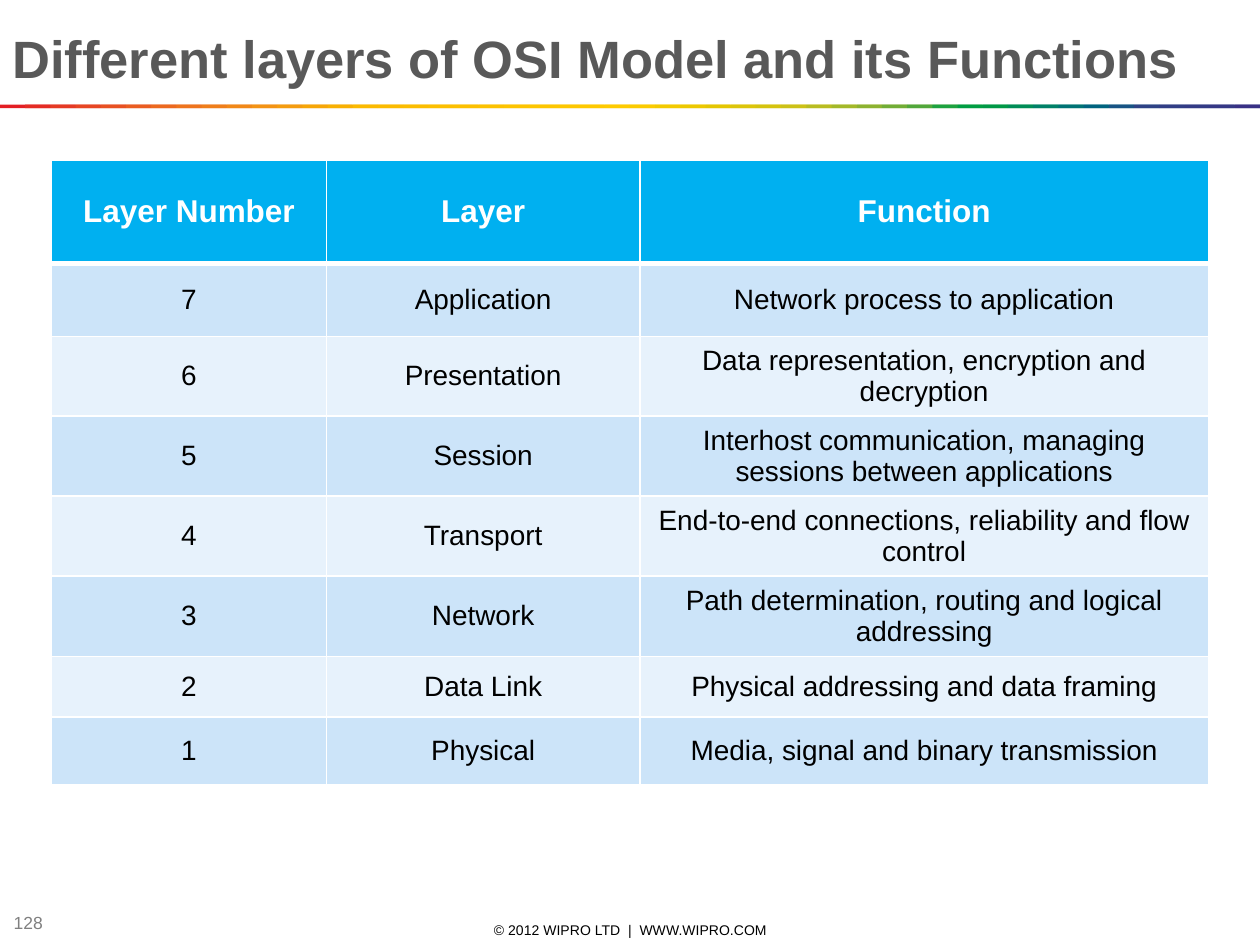
from dataclasses import dataclass

from lxml.etree import SubElement
from pptx import Presentation
from pptx.dml.color import RGBColor
from pptx.enum.shapes import MSO_SHAPE
from pptx.enum.text import MSO_ANCHOR, PP_ALIGN
from pptx.oxml.ns import qn
from pptx.util import Inches, Pt


@dataclass(frozen=True)
class Theme:
    font: str = "Arial"
    title: str = "595959"
    number: str = "808080"
    text: str = "000000"
    white: str = "FFFFFF"
    header: str = "00B0F0"
    bands: tuple = ("CCE4F9", "E7F2FC")
    title_size: int = 30
    header_size: int = 18
    body_size: int = 16
    number_size: int = 10
    footer_size: int = 8
    rainbow: tuple = tuple("""
        E31E24 E42C24 E53A24 E74623 E85122 EA5D21 EC691F EE741D EF7E1A F18817
        F39314 F49C0F F6A607 F8B002 FBBA00 FBBB00 FBBD00 FCBF00 FCC000 FCC200
        FDC400 FDC600 FDC700 FEC900 FECB00 FBCB00 F3CA00 ECC800 E4C602 DCC50A
        D5C30E CCC117 B8BC21 A3B829 8CB230 71AD36 51A73B 1DA240 009D43 009846
        008C57 008068 007275 00637F 185384 2E4285 313E85 333B85 353885 393185
    """.split())


theme = Theme()


def add_text(tf, text, size, color, bold=False, align=PP_ALIGN.LEFT):
    p = tf.paragraphs[0]
    p.alignment = align
    r = p.add_run()
    r.text = text
    r.font.name = theme.font
    r.font.size = Pt(size)
    r.font.bold = bold
    r.font.color.rgb = RGBColor.from_string(color)
    return p


def set_borders(cell, bottom):
    tc_pr = cell._tc.get_or_add_tcPr()
    widths = {"a:lnL": 1, "a:lnR": 1, "a:lnT": 1, "a:lnB": bottom}
    for position, (tag, width) in enumerate(widths.items()):
        ln = SubElement(tc_pr, qn(tag), w=str(Pt(width)))
        fill = SubElement(ln, qn("a:solidFill"))
        SubElement(fill, qn("a:srgbClr"), val=theme.white)
        tc_pr.insert(position, ln)


prs = Presentation()
prs.slide_width, prs.slide_height = Inches(10), Inches(7.5)
s = prs.slides.add_slide(prs.slide_layouts[6])

# Copyright line
sp = s.shapes.add_textbox(Inches(3.42), Inches(7.3), Inches(3.17), Inches(0.16))
tf = sp.text_frame
tf.word_wrap = True
tf.vertical_anchor = MSO_ANCHOR.MIDDLE
tf.margin_left = tf.margin_right = tf.margin_top = tf.margin_bottom = 0
add_text(tf, "© 2012 WIPRO LTD  |  WWW.WIPRO.COM", theme.footer_size, theme.text,
         align=PP_ALIGN.CENTER)

# Slide number
sp = s.shapes.add_textbox(Inches(0.01), Inches(7.22), Inches(0.75), Inches(0.21))
tf = sp.text_frame
tf.word_wrap = True
tf.vertical_anchor = MSO_ANCHOR.MIDDLE
tf.margin_top = tf.margin_bottom = 0
add_text(tf, "128", theme.number_size, theme.number)

# Rainbow rule: each stripe overlaps the one before by half
step = 0.2
for i, color in enumerate(theme.rainbow):
    left = i * step
    sp = s.shapes.add_shape(MSO_SHAPE.RECTANGLE, Inches(left), Inches(0.83),
                            Inches(min(2 * step, 10 - left)), Inches(0.03))
    sp.shadow.inherit = False
    sp.fill.solid()
    sp.fill.fore_color.rgb = RGBColor.from_string(color)
    sp.line.fill.background()

# Title
sp = s.shapes.add_textbox(0, Inches(0.16), Inches(10), Inches(0.61))
tf = sp.text_frame
tf.word_wrap = True
p = add_text(tf, "Different layers of OSI Model and its Functions",
             theme.title_size, theme.title, bold=True)
p_pr = p._p.get_or_add_pPr()
p_pr.set("marL", str(Inches(0.25)))
p_pr.set("indent", str(Inches(-0.25)))

# Table of layers
rows = [
    ("Layer Number", "Layer", "Function"),
    ("7", "Application", "Network process to application"),
    ("6", "Presentation", "Data representation, encryption and decryption"),
    ("5", "Session", "Interhost communication, managing sessions between applications"),
    ("4", "Transport", "End-to-end connections, reliability and flow control"),
    ("3", "Network", "Path determination, routing and logical addressing"),
    ("2", "Data Link", "Physical addressing and data framing"),
    ("1", "Physical", "Media, signal and binary transmission"),
]
col_widths = [2.18, 2.49, 4.51]
row_heights = [0.82, 0.58, 0.59, 0.59, 0.62, 0.64, 0.48, 0.54]
table = s.shapes.add_table(len(rows), len(col_widths), Inches(0.41), Inches(1.27),
                           Inches(sum(col_widths)), Inches(sum(row_heights))).table
for column, width in zip(table.columns, col_widths):
    column.width = Inches(width)
for i, (row, height) in enumerate(zip(rows, row_heights)):
    table.rows[i].height = Inches(height)
    is_header = i == 0
    fill = theme.header if is_header else theme.bands[(i - 1) % 2]
    size = theme.header_size if is_header else theme.body_size
    color = theme.white if is_header else theme.text
    for j, text in enumerate(row):
        cell = table.cell(i, j)
        cell.vertical_anchor = MSO_ANCHOR.MIDDLE
        cell.fill.solid()
        cell.fill.fore_color.rgb = RGBColor.from_string(fill)
        set_borders(cell, bottom=3 if is_header else 1)
        add_text(cell.text_frame, text, size, color, is_header, PP_ALIGN.CENTER)

prs.save("out.pptx")
